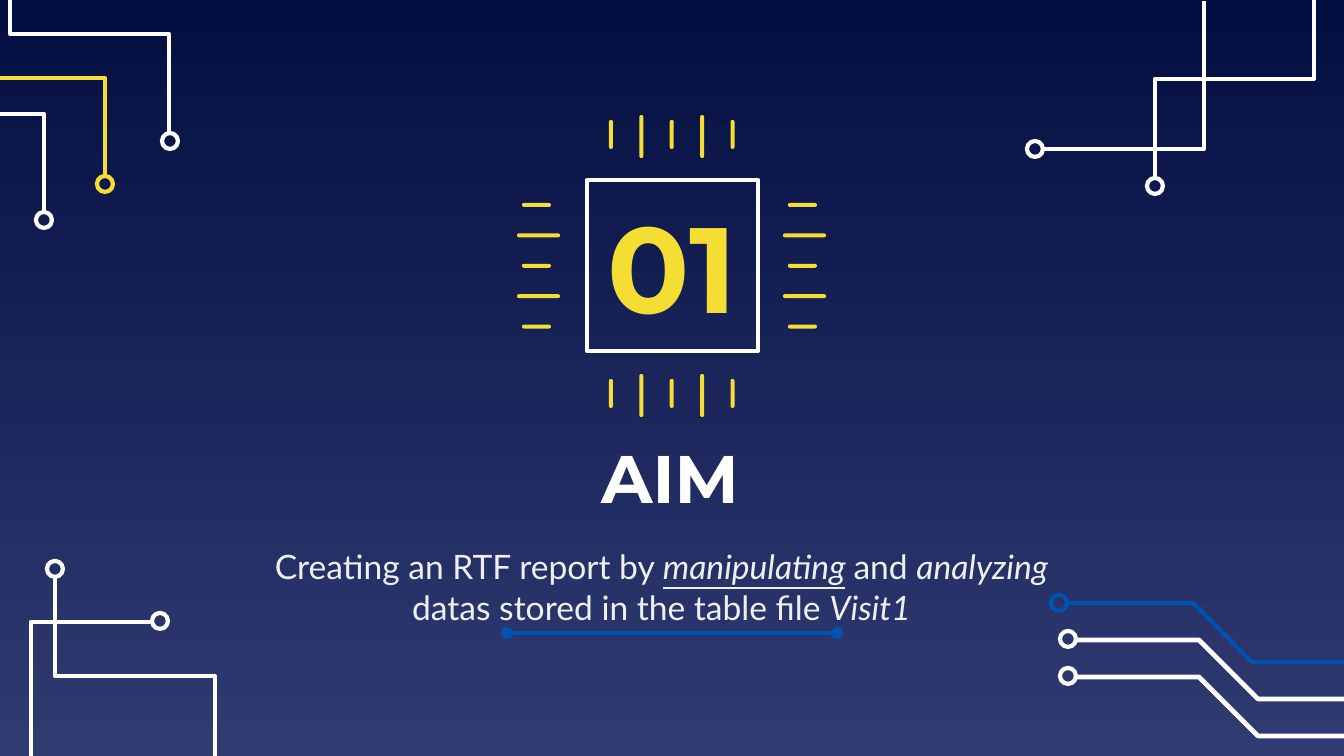
from lxml import etree
from pptx import Presentation
from pptx.dml.color import RGBColor
from pptx.enum.shapes import MSO_CONNECTOR, MSO_SHAPE
from pptx.enum.text import MSO_ANCHOR, PP_ALIGN
from pptx.oxml.ns import qn
from pptx.util import Pt

RECTANGLE, ROUNDED, OVAL = MSO_SHAPE.RECTANGLE, MSO_SHAPE.ROUNDED_RECTANGLE, MSO_SHAPE.OVAL
STRAIGHT = MSO_CONNECTOR.STRAIGHT
MIDDLE, CENTER = MSO_ANCHOR.MIDDLE, PP_ALIGN.CENTER

EMU_PER_PIXEL = 914400 / 134.4
THEME = {
    "white": RGBColor.from_string("FFFFFF"),
    "yellow": RGBColor.from_string("F5DE34"),
    "blue": RGBColor.from_string("0152B1"),
    "pale": RGBColor.from_string("EFEFEF"),
    "gradient": [RGBColor.from_string("040E41"), RGBColor.from_string("303B72")],
    "heading_font": "Montserrat",
    "body_font": "Lato",
    "number_size": Pt(65),
    "title_size": Pt(36),
    "body_size": Pt(18),
    "stroke": Pt(2.25),
    "thick_stroke": Pt(2.5),
}


def px(*values):
    """Turn pixel lengths into a list of EMU lengths."""
    return [round(value * EMU_PER_PIXEL) for value in values]


def write_text(shape, runs, color, font_format):
    """Fill a shape with one centred paragraph of (text, extra format) runs."""
    frame = shape.text_frame
    inset = px(13)[0]
    frame_format = {"word_wrap": True, "vertical_anchor": MIDDLE,
                    "margin_left": inset, "margin_right": inset,
                    "margin_top": inset, "margin_bottom": inset}
    for name, value in frame_format.items():
        setattr(frame, name, value)
    paragraph = frame.paragraphs[0]
    paragraph.alignment = CENTER
    for text, extra in runs:
        run = paragraph.add_run()
        run.text = text
        run.font.color.rgb = color
        for name, value in {**font_format, **extra}.items():
            setattr(run.font, name, value)


presentation = Presentation()
presentation.slide_width, presentation.slide_height = px(1344, 756)
slide = presentation.slides.add_slide(presentation.slide_layouts[6])
shapes = slide.shapes

background = slide.background.fill
background.gradient()
background.gradient_angle = 270
for stop, color, position in zip(background.gradient_stops, THEME["gradient"], (0, 1)):
    stop.color.rgb = color
    stop.position = position

# Circuit traces: colour, stroke, ring centre, points from slide edge to ring
traces = [
    ("blue", "stroke", (1059, 603), [(1344, 662), (1252, 662), (1193, 603), (1067, 603)]),
    ("white", "thick_stroke", (1068, 639), [(1344, 699), (1258, 699), (1199, 640), (1076, 640)]),
    ("white", "thick_stroke", (1068, 676), [(1344, 736), (1258, 736), (1199, 677), (1076, 677)]),
    ("white", "stroke", (55, 569), [(215, 756), (215, 676), (55, 676), (55, 577)]),
    ("white", "stroke", (160, 621), [(31, 756), (31, 622), (152, 622)]),
    ("white", "stroke", (1035, 149), [(1204, 1), (1204, 149), (1043, 149)]),
    ("white", "stroke", (1155, 186), [(1314, 0), (1314, 79), (1155, 79), (1155, 178)]),
    ("white", "stroke", (44, 220), [(0, 114), (44, 114), (44, 212)]),
    ("yellow", "stroke", (105, 184), [(0, 78), (105, 78), (105, 176)]),
    ("white", "stroke", (170, 141), [(10, 0), (10, 34), (169, 34), (169, 133)]),
]
RING = 16
for color, stroke, (ring_x, ring_y), points in traces:
    builder = shapes.build_freeform(*px(*points[0]), scale=1.0)
    builder.add_line_segments([px(*point) for point in points[1:]], close=False)
    trace = builder.convert_to_shape()
    ring = shapes.add_shape(OVAL, *px(ring_x - RING / 2, ring_y - RING / 2, RING, RING))
    for shape, width in ((trace, THEME[stroke]), (ring, THEME["stroke"])):
        shape.shadow.inherit = False
        shape.fill.background()
        shape.line.color.rgb = THEME[color]
        shape.line.width = width

title = shapes.add_textbox(*px(358, 432, 624, 90))
write_text(title, [("AIM", {})], THEME["white"],
           {"name": THEME["heading_font"], "size": THEME["title_size"], "bold": True})

chip = shapes.add_shape(RECTANGLE, *px(587, 180, 171, 171))
chip.shadow.inherit = False
chip.fill.background()
chip.line.color.rgb = THEME["white"]
chip.line.width = THEME["stroke"]
write_text(chip, [("01", {})], THEME["yellow"],
           {"name": THEME["heading_font"], "size": THEME["number_size"], "bold": True})

subtitle = shapes.add_textbox(*px(246, 542, 831, 89))
write_text(subtitle, [
    ("Creating an RTF report by ", {}),
    ("manipulating", {"italic": True, "underline": True}),
    (" ", {"italic": True}),
    ("and ", {}),
    ("analyzing ", {"italic": True}),
    ("datas stored in the table file ", {}),
    ("Visit1", {"italic": True}),
], THEME["pale"], {"name": THEME["body_font"], "size": THEME["body_size"]})

underline = shapes.add_connector(STRAIGHT, *px(507, 633, 837, 633))
underline.line.color.rgb = THEME["blue"]
underline.line.width = THEME["stroke"]
outline = underline.line._get_or_add_ln()
for end in ("a:headEnd", "a:tailEnd"):
    etree.SubElement(outline, qn(end), type="oval")
etree.SubElement(underline._element.spPr, qn("a:effectLst"))

# Chip pins: start of the short pins, first pin centre, upright or not
PIN_PITCH, PIN_WIDTH = 30.4, 4
for start, first, upright in ((522, 205, False), (788, 205, False),
                              (120, 611, True), (379, 611, True)):
    for index in range(5):
        is_long = index % 2 == 1
        along = start - 5 if is_long else start
        length = 43 if is_long else 29
        across = first + index * PIN_PITCH - PIN_WIDTH / 2
        box = (across, along, PIN_WIDTH, length) if upright else (along, across, length, PIN_WIDTH)
        pin = shapes.add_shape(ROUNDED, *px(*box))
        pin.adjustments[0] = 0.5
        pin.shadow.inherit = False
        pin.fill.solid()
        pin.fill.fore_color.rgb = THEME["yellow"]
        pin.line.fill.background()

presentation.save("out.pptx")
